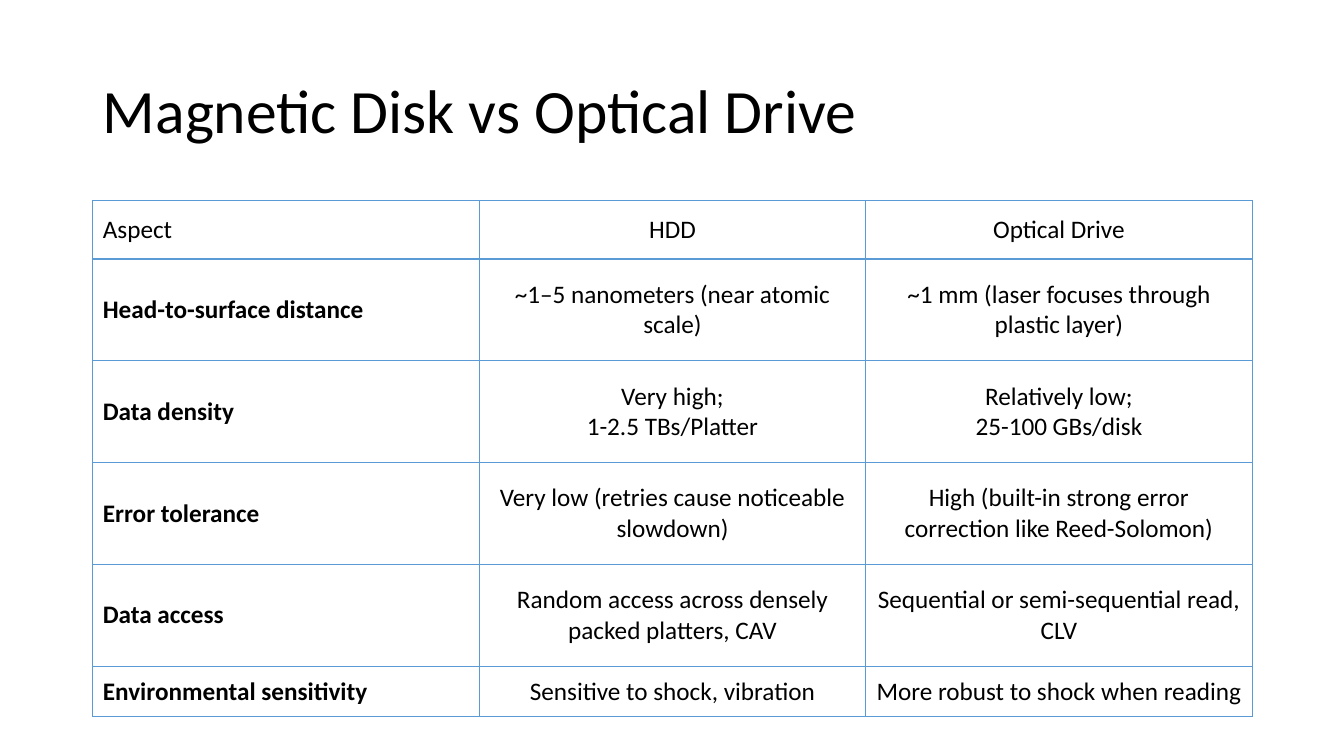
from lxml import etree
from pptx import Presentation
from pptx.dml.color import RGBColor
from pptx.enum.text import MSO_ANCHOR as Anchor, MSO_AUTO_SIZE as AutoSize, PP_ALIGN as Align
from pptx.oxml.ns import qn
from pptx.util import Inches, Pt


def add_run(p, text, size, bold=False):
    r = p.add_run()
    r.text = text
    r.font.name = "Calibri"
    r.font.size = Pt(size)
    r.font.bold = bold
    r.font.color.rgb = RGBColor.from_string("000000")


def add_borders(cell, color, width):
    tc_pr = cell._tc.get_or_add_tcPr()
    for side in ("lnL", "lnR", "lnT", "lnB"):
        ln = etree.SubElement(tc_pr, qn(f"a:{side}"), w=str(Pt(width)))
        fill = etree.SubElement(ln, qn("a:solidFill"))
        etree.SubElement(fill, qn("a:srgbClr"), val=color)


prs = Presentation()
prs.slide_width, prs.slide_height = Inches(13.33), Inches(7.5)
slide = prs.slides.add_slide(prs.slide_layouts[5])

# Title
title = slide.shapes.title
title.left, title.top = Inches(0.92), Inches(0.4)
title.width, title.height = Inches(11.5), Inches(1.45)
tf = title.text_frame
tf.word_wrap = True
tf.auto_size = AutoSize.NONE
tf.vertical_anchor = Anchor.MIDDLE
p = tf.paragraphs[0]
p.alignment = Align.LEFT
p.line_spacing = 0.9
add_run(p, "Magnetic Disk vs Optical Drive", 44)

# Comparison table: each line of a cell is a paragraph
rows = [
    ("Aspect", "HDD", "Optical Drive"),
    ("Head-to-surface distance", "~1–5 nanometers (near atomic scale)",
     "~1 mm (laser focuses through plastic layer)"),
    ("Data density", "Very high;\n1-2.5 TBs/Platter", "Relatively low;\n25-100 GBs/disk"),
    ("Error tolerance", "Very low (retries cause noticeable slowdown)",
     "High (built-in strong error correction like Reed-Solomon)"),
    ("Data access", "Random access across densely packed platters, CAV",
     "Sequential or semi-sequential read, CLV"),
    ("Environmental sensitivity", "Sensitive to shock, vibration",
     "More robust to shock when reading"),
]
row_heights = [0.58] + [1.01] * 4 + [0.5]
table = slide.shapes.add_table(len(rows), 3, Inches(0.92), Inches(1.99),
                               Inches(11.5), Inches(sum(row_heights))).table
table.first_row = False
table.horz_banding = False

for i, (texts, height) in enumerate(zip(rows, row_heights)):
    table.rows[i].height = Inches(height)
    for j, text in enumerate(texts):
        cell = table.cell(i, j)
        add_borders(cell, "5B9BD5", 1)
        cell.fill.solid()
        cell.fill.fore_color.rgb = RGBColor.from_string("FFFFFF")
        cell.vertical_anchor = Anchor.MIDDLE
        tf = cell.text_frame
        for k, line in enumerate(text.split("\n")):
            p = tf.add_paragraph() if k else tf.paragraphs[0]
            p.alignment = Align.CENTER if j else Align.LEFT
            add_run(p, line, 18, bold=i > 0 and j == 0)

prs.save("out.pptx")
